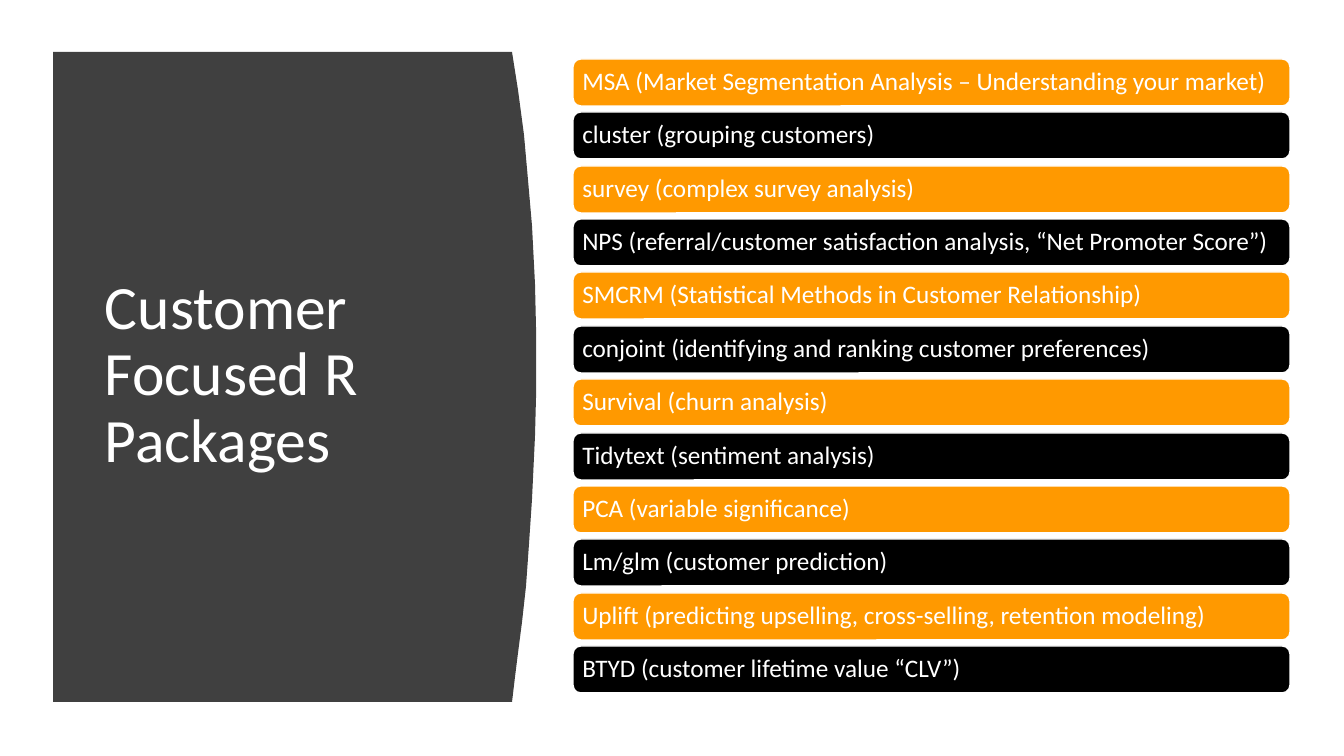
import dataclasses

import pptx
import pptx.dml.color
import pptx.enum.shapes
import pptx.enum.text
import pptx.util

PX = 9144000 / 1008


def px(n):
    return pptx.util.Emu(round(n * PX))


def rgb(code):
    return pptx.dml.color.RGBColor.from_string(code)


@dataclasses.dataclass
class Theme:
    font: str = "Calibri"
    white: str = "FFFFFF"
    dark: str = "404040"
    bars: tuple = ("FF9900", "000000")
    title: int = 44
    body: int = 18
    edge: int = 1


def write(frame, text, size, color, font, inset=(10, 5)):
    frame.word_wrap = True
    frame.vertical_anchor = pptx.enum.text.MSO_ANCHOR.MIDDLE
    frame.margin_left = frame.margin_right = px(inset[0])
    frame.margin_top = frame.margin_bottom = px(inset[1])
    para = frame.paragraphs[0]
    para.alignment = pptx.enum.text.PP_ALIGN.LEFT
    para.line_spacing = 0.9
    run = para.add_run()
    run.text = text
    run.font.name = font
    run.font.size = pptx.util.Pt(size)
    run.font.color.rgb = rgb(color)


class Deck:
    def __init__(self, theme, slide):
        self.theme = theme
        self.shapes = slide.shapes

    def paint(self, shape, color):
        shape.shadow.inherit = False
        shape.fill.solid()
        shape.fill.fore_color.rgb = rgb(color)

    def panel(self, points, color):
        pen = self.shapes.build_freeform(*points[0], scale=PX)
        pen.add_line_segments(points[1:], close=True)
        shape = pen.convert_to_shape()
        self.paint(shape, color)
        shape.line.fill.background()

    def title(self, text, *box):
        frame = self.shapes.add_textbox(*map(px, box)).text_frame
        write(frame, text, size=self.theme.title,
              color=self.theme.white, font=self.theme.font)

    def bar(self, text, color, *box):
        kind = pptx.enum.shapes.MSO_SHAPE.ROUNDED_RECTANGLE
        shape = self.shapes.add_shape(kind, *map(px, box))
        self.paint(shape, color)
        shape.line.color.rgb = rgb(self.theme.white)
        shape.line.width = pptx.util.Pt(self.theme.edge)
        write(shape.text_frame, text, size=self.theme.body,
              color=self.theme.white, font=self.theme.font, inset=(7, 5))


PANEL = [
    (53, 52), (512, 52), (518, 90), (524, 135), (528, 180), (532, 226),
    (535, 284), (536, 328), (536, 397), (535, 436), (532, 499), (529, 544),
    (526, 586), (522, 622), (518, 653), (515, 677), (512, 702), (53, 702),
]

TOOLS = [
    "MSA (Market Segmentation Analysis – Understanding your market)",
    "cluster (grouping customers)",
    "survey (complex survey analysis)",
    "NPS (referral/customer satisfaction analysis, “Net Promoter Score”)",
    "SMCRM (Statistical Methods in Customer Relationship)",
    "conjoint (identifying and ranking customer preferences)",
    "Survival (churn analysis)",
    "Tidytext (sentiment analysis)",
    "PCA (variable significance)",
    "Lm/glm (customer prediction)",
    "Uplift (predicting upselling, cross-selling, retention modeling)",
    "BTYD (customer lifetime value “CLV”)",
]

FIRST, LAST = 59, 646


def main():
    show = pptx.Presentation()
    show.slide_width, show.slide_height = px(1344), px(756)
    theme = Theme()
    deck = Deck(theme, show.slides.add_slide(show.slide_layouts[6]))
    deck.panel(PANEL, theme.dark)
    deck.title("Customer Focused R Packages", 95, 112, 377, 528)
    for i, text in enumerate(TOOLS):
        top = FIRST + round((LAST - FIRST) * i / (len(TOOLS) - 1))
        deck.bar(text, theme.bars[i % 2], 573, top, 717, 47)
    show.save("out.pptx")


if __name__ == "__main__":
    main()
